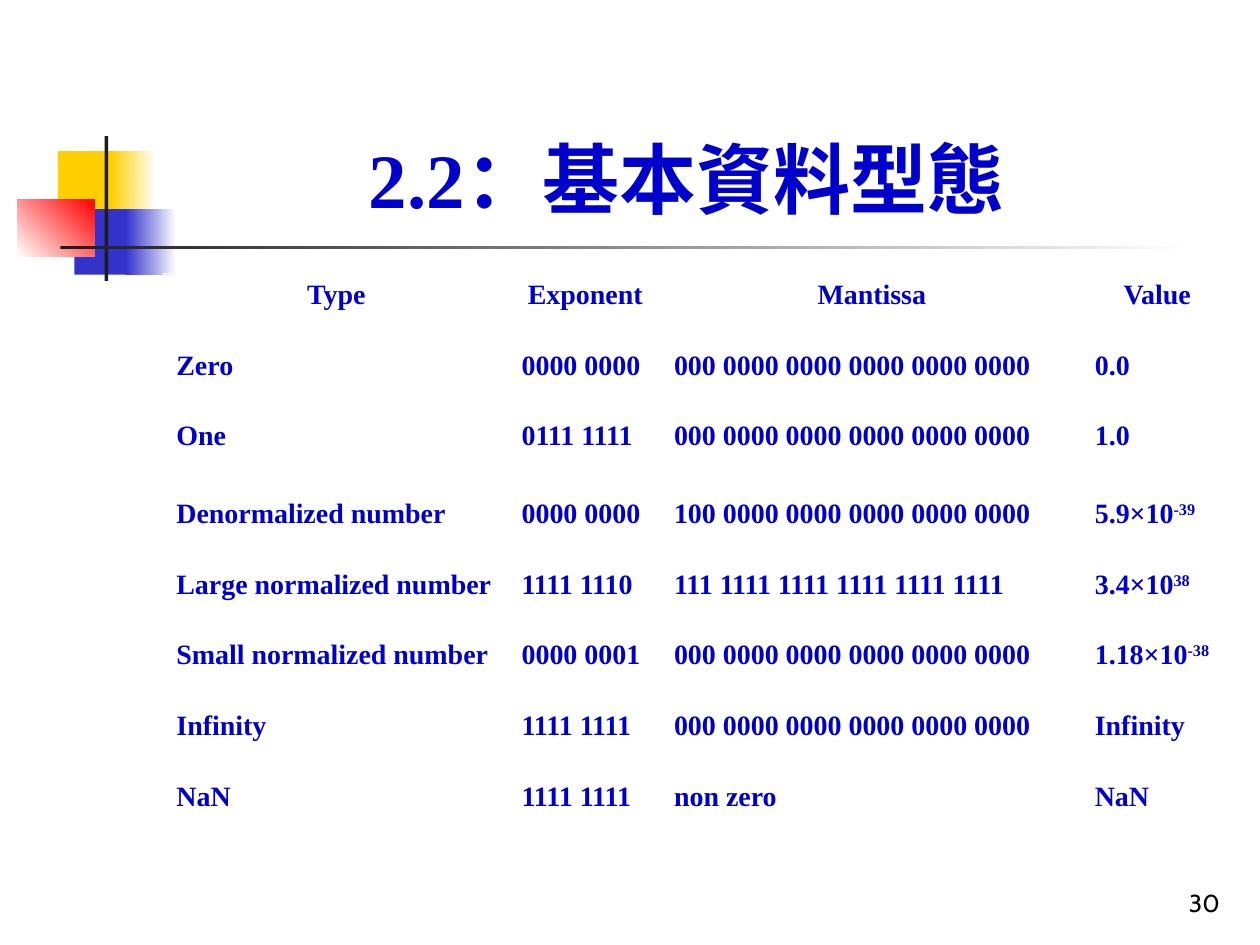
from dataclasses import dataclass
from typing import Optional

from pptx import Presentation
from pptx.dml.color import RGBColor
from pptx.enum.shapes import MSO_SHAPE as Shape
from pptx.enum.text import MSO_ANCHOR as Anchor, MSO_AUTO_SIZE as AutoSize, PP_ALIGN as Align
from pptx.util import Inches, Pt

BLUE, YELLOW, INDIGO, RED = "0000CC", "FFCF01", "3333CC", "FF0000"
DARK, WHITE, BLACK = "1C1C1C", "FFFFFF", "000000"
SERIF = "Times New Roman"
HANGING = Inches(0.38)


@dataclass
class Block:
    """A decorative rectangle, plain or fading to a second colour."""
    left: float
    top: float
    width: float
    height: float
    color: str
    fade_to: Optional[str] = None
    angle: float = 0


BLOCKS = [
    Block(0.46, 1.2, 0.48, 0.52, YELLOW),
    Block(0.88, 1.2, 0.36, 0.52, YELLOW, WHITE),
    Block(0.59, 1.66, 0.46, 0.52, INDIGO),
    Block(1, 1.66, 0.4, 0.52, INDIGO, WHITE),
    Block(0.14, 1.58, 0.61, 0.46, WHITE, RED, 45),
    Block(0.83, 1.08, 0.03, 1.15, DARK),
    Block(0.48, 1.95, 9, 0.03, DARK, WHITE),
]

ZEROS = "000 0000 0000 0000 0000 0000"
HEADER = ("Type", "Exponent", "Mantissa", "Value")
# A "^" in a value starts its superscript
NUMBERS = [
    ("Zero", "0000 0000", ZEROS, "0.0"),
    ("One", "0111 1111", ZEROS, "1.0"),
    ("Denormalized number", "0000 0000", "100 0000 0000 0000 0000 0000", "5.9×10^-39"),
    ("Large normalized number", "1111 1110", "111 1111 1111 1111 1111 1111", "3.4×10^38"),
    ("Small normalized number", "0000 0001", ZEROS, "1.18×10^-38"),
    ("Infinity", "1111 1111", ZEROS, "Infinity"),
    ("NaN", "1111 1111", "non zero", "NaN"),
]
COLUMN_WIDTHS = (2.74, 1.21, 3.34, 1.19)
ROW_HEIGHTS = (0.56, 0.56, 0.62) + (0.56,) * 5


def rgb(value: str) -> RGBColor:
    return RGBColor.from_string(value)


def add_run(paragraph, text: str, size: float, color: str = BLUE,
            name: str = SERIF, bold: bool = True):
    run = paragraph.add_run()
    run.text = text
    for key, value in {"size": Pt(size), "name": name, "bold": bold}.items():
        setattr(run.font, key, value)
    run.font.color.rgb = rgb(color)
    return run


def place(shape, left: float, top: float, width: float, height: float) -> None:
    box = {"left": left, "top": top, "width": width, "height": height}
    for key, value in box.items():
        setattr(shape, key, Inches(value))


def format_frame(frame, alignment):
    """Anchor the text at the bottom and return the first paragraph."""
    settings = {"word_wrap": True, "auto_size": AutoSize.NONE,
                "vertical_anchor": Anchor.BOTTOM}
    for key, value in settings.items():
        setattr(frame, key, value)
    paragraph = frame.paragraphs[0]
    paragraph.alignment = alignment
    return paragraph


def add_block(slide, block: Block) -> None:
    shape = slide.shapes.add_shape(
        Shape.RECTANGLE, Inches(block.left), Inches(block.top),
        Inches(block.width), Inches(block.height))
    shape.shadow.inherit = False
    shape.line.fill.background()
    if block.fade_to is None:
        shape.fill.solid()
        shape.fill.fore_color.rgb = rgb(block.color)
        return
    shape.fill.gradient()
    shape.fill.gradient_angle = block.angle
    for stop, color, position in zip(
            shape.fill.gradient_stops, (block.color, block.fade_to), (0, 1)):
        stop.color.rgb = rgb(color)
        stop.position = position


def fill_cell(cell, text: str, alignment) -> None:
    cell.fill.background()
    paragraph = cell.text_frame.paragraphs[0]
    paragraph.alignment = alignment
    properties = paragraph._p.get_or_add_pPr()
    properties.set("marL", str(HANGING))
    properties.set("indent", str(-HANGING))
    base, _, exponent = text.partition("^")
    add_run(paragraph, base, 16)
    if exponent:
        run = add_run(paragraph, exponent, 16)
        run.font._element.set("baseline", "30000")


def add_number_table(slide) -> None:
    rows = [HEADER] + NUMBERS
    table = slide.shapes.add_table(
        len(rows), len(HEADER), Inches(1.3), Inches(2.17),
        Inches(sum(COLUMN_WIDTHS)), Inches(sum(ROW_HEIGHTS))).table
    table.first_row = table.horz_banding = False
    for column, width in zip(table.columns, COLUMN_WIDTHS):
        column.width = Inches(width)
    for row, height, texts in zip(table.rows, ROW_HEIGHTS, rows):
        row.height = Inches(height)
        alignment = Align.CENTER if texts is HEADER else Align.LEFT
        for cell, text in zip(row.cells, texts):
            fill_cell(cell, text, alignment)


def main() -> None:
    presentation = Presentation()
    presentation.slide_width = Inches(10)
    presentation.slide_height = Inches(7.5)
    slide = presentation.slides.add_slide(presentation.slide_layouts[5])

    # Corner decoration and rule
    for block in BLOCKS:
        add_block(slide, block)

    # Slide number
    number = slide.shapes.add_textbox(
        Inches(7.7), Inches(6.83), Inches(2.08), Inches(0.5))
    add_run(format_frame(number.text_frame, Align.RIGHT), "30", 14, BLACK, "Cabin", False)

    # Title; its closing space is part of the centred line
    title = slide.shapes.title
    place(title, 1.26, 0.23, 8.52, 1.6)
    add_run(format_frame(title.text_frame, Align.CENTER), "2.2：基本資料型態 ", 44)

    # Floating-point numbers
    add_number_table(slide)

    presentation.save("out.pptx")


if __name__ == "__main__":
    main()
